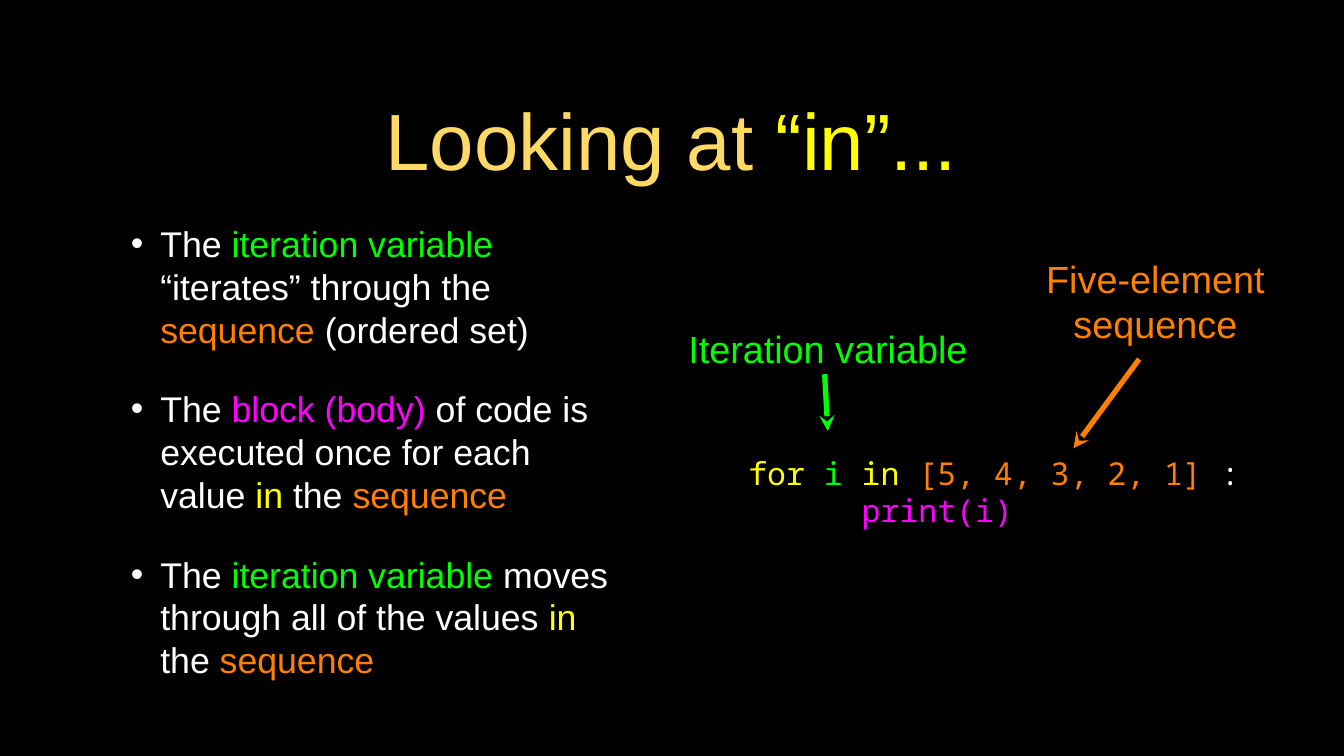
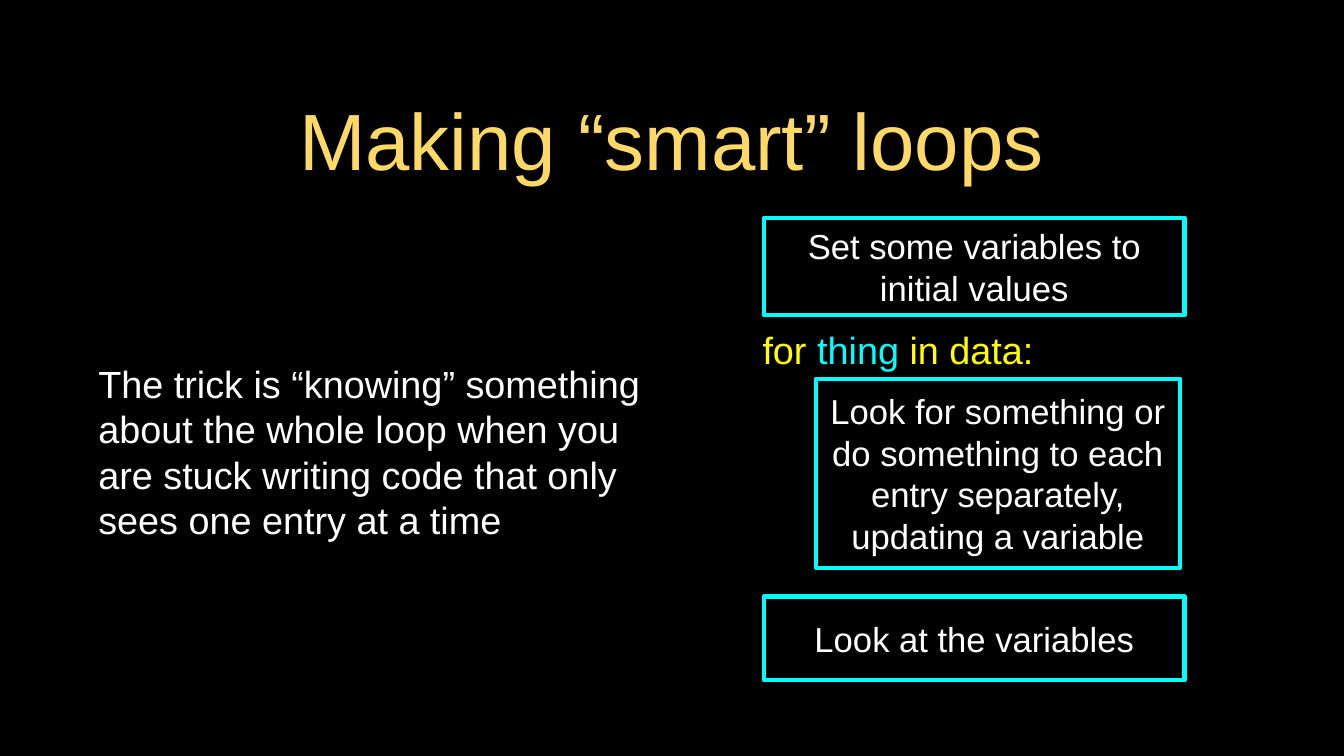
"""Build two slides that explain Python's for loops."""
from dataclasses import dataclass
from typing import NamedTuple

from lxml.etree import SubElement
from pptx import Presentation
from pptx.dml.color import RGBColor
from pptx.enum.shapes import MSO_CONNECTOR as Connector, MSO_SHAPE as Preset
from pptx.enum.text import MSO_ANCHOR as Anchor, MSO_AUTO_SIZE as AutoSize, PP_ALIGN as Align
from pptx.oxml.ns import qn
from pptx.shapes.base import BaseShape
from pptx.slide import Slide
from pptx.util import Inches, Pt


@dataclass(frozen=True)
class Theme:
    """Colours, fonts and type sizes of the deck."""
    ground: str = "000000"
    text: str = "FFFFFF"
    title: str = "FFD966"
    keyword: str = "FFFF00"
    variable: str = "00FF00"
    sequence: str = "FF7F00"
    block: str = "FF00FF"
    outline: str = "00FFFF"
    font: str = "Arial"
    code_font: str = "Noto Sans Mono"
    title_size: int = 76
    label_size: int = 36
    bullet_size: int = 34
    step_size: int = 33
    code_size: int = 30
    bullet_gap: int = 35
    leading: float = 1.2
    arrow_width: int = 5
    outline_width: int = 4


class Span(NamedTuple):
    """A stretch of text in one colour."""
    text: str
    color: str


class Point(NamedTuple):
    """A place in percent of the slide's width and height."""
    x: float
    y: float


class Area(NamedTuple):
    """A rectangle in percent of the slide's width and height."""
    left: float
    top: float
    width: float
    height: float


@dataclass(frozen=True)
class Style:
    """How a block of text is set."""
    size: int
    font: str = "Arial"
    align: Align = Align.LEFT
    inset: float = 0
    bulleted: bool = False


@dataclass(frozen=True)
class Arrow:
    """An arrow from a label to a piece of code."""
    tip: Point
    tail: Point
    color: str


@dataclass(frozen=True)
class Step:
    """An outlined stage of a loop."""
    area: Area
    text: str


Line = list[Span]

THEME = Theme()
WIDTH, HEIGHT = Inches(17.78), Inches(10)
INSET = 0.04
BULLET_INDENT, BULLET_HANG = Inches(0.82), Inches(-0.39)
CODE_INDENT = Pt(6 * 0.6 * THEME.code_size)

TITLE_AREA = Area(7.09, 8.9, 85.71, 18.8)
BULLET_AREA = Area(7.09, 28.5, 39.26, 62.4)
TRICK_AREA = BULLET_AREA._replace(width=42.13)
CODE_AREA = Area(55.68, 57.7, 39.15, 14.6)
VARIABLE_AREA = Area(51.01, 42.7, 21.2, 6.8)
SEQUENCE_AREA = Area(73.73, 34.1, 24.47, 11.4)
LOOP_AREA = Area(56.36, 42.8, 20.92, 6.8)
FIRST_STEP_AREA = Area(56.86, 28.8, 31.27, 12.9)
LAST_STEP_AREA = FIRST_STEP_AREA._replace(top=78.9, height=11.1)
BODY_STEP_AREA = Area(60.69, 50.1, 27.11, 25)

TITLE_STYLE = Style(THEME.title_size, align=Align.CENTER, inset=INSET)
BULLET_STYLE = Style(THEME.bullet_size, inset=INSET, bulleted=True)
TRICK_STYLE = Style(THEME.label_size, inset=INSET)
LABEL_STYLE = Style(THEME.label_size, align=Align.CENTER)
STEP_STYLE = Style(THEME.step_size, align=Align.CENTER)
CODE_STYLE = Style(THEME.code_size, font=THEME.code_font)


def plain(text: str) -> Span:
    """Return a span in the text colour."""
    return Span(text, THEME.text)


IN = Span("in", THEME.keyword)
SEQUENCE = Span("sequence", THEME.sequence)
VARIABLE = Span("iteration variable ", THEME.variable)

BULLETS: list[Line] = [
    [plain("The "), VARIABLE, plain("“iterates” through the "),
     Span("sequence ", THEME.sequence), plain("(ordered set)")],
    [plain("The "), Span("block (body)", THEME.block),
     plain(" of code is executed once for each value "), IN, plain(" the "), SEQUENCE],
    [plain("The "), VARIABLE, plain("moves through all of the values "), IN,
     plain(" the "), SEQUENCE],
]
CODE: list[Line] = [
    [Span("for ", THEME.keyword), Span("i ", THEME.variable), Span("in ", THEME.keyword),
     Span("[5, 4, 3, 2, 1] ", THEME.sequence), plain(":")],
    [Span("print(i)", THEME.block)],
]
LABELS = [
    (VARIABLE_AREA, Span("Iteration variable", THEME.variable)),
    (SEQUENCE_AREA, Span("Five-element sequence", THEME.sequence)),
]
ARROWS = [
    Arrow(Point(61.59, 57), Point(61.36, 49.5), THEME.variable),
    Arrow(Point(79.87, 59.3), Point(84.76, 47.5), THEME.sequence),
]
TRICK = plain("The trick is “knowing” something about the whole loop when you "
              "are stuck writing code that only sees one entry at a time")
LOOP_HEADER: Line = [Span("for ", THEME.keyword), Span("thing", THEME.outline),
                     Span(" in data:", THEME.keyword)]
STEPS = [
    Step(FIRST_STEP_AREA, "Set some variables to initial values"),
    Step(BODY_STEP_AREA, "Look for something or do something to each entry separately, "
                         "updating a variable"),
    Step(LAST_STEP_AREA, "Look at the variables"),
]


def rgb(color: str) -> RGBColor:
    """Turn a hex string into a colour."""
    return RGBColor.from_string(color)


def across(share: float) -> int:
    """Return a percentage of the slide's width."""
    return round(WIDTH * share / 100)


def down(share: float) -> int:
    """Return a percentage of the slide's height."""
    return round(HEIGHT * share / 100)


def bounds(area: Area) -> tuple[int, int, int, int]:
    """Return an area as left, top, width and height."""
    return across(area.left), down(area.top), across(area.width), down(area.height)


def add_bullet(paragraph) -> None:
    """Give a paragraph a hanging bullet."""
    properties = paragraph._p.get_or_add_pPr()
    properties.set("marL", str(BULLET_INDENT))
    properties.set("indent", str(BULLET_HANG))
    bullet_color = SubElement(properties, qn("a:buClr"))
    SubElement(bullet_color, qn("a:srgbClr"), val=THEME.text)
    SubElement(properties, qn("a:buFont"), typeface=THEME.font)
    SubElement(properties, qn("a:buChar"), char="•")


def write(holder: BaseShape, lines: list[Line], style: Style) -> None:
    """Fill a shape with coloured lines of text."""
    frame = holder.text_frame
    frame.word_wrap = True
    frame.auto_size = AutoSize.NONE
    frame.vertical_anchor = Anchor.MIDDLE
    frame.margin_left = frame.margin_right = Inches(style.inset)
    frame.margin_top = frame.margin_bottom = Inches(style.inset)
    for index, line in enumerate(lines):
        paragraph = frame.add_paragraph() if index else frame.paragraphs[0]
        paragraph.alignment = style.align
        paragraph.line_spacing = Pt(style.size * THEME.leading)
        if style.bulleted:
            paragraph.space_before = Pt(THEME.bullet_gap if index else 0)
            add_bullet(paragraph)
        for span in line:
            run = paragraph.add_run()
            run.text = span.text
            run.font.name = style.font
            run.font.size = Pt(style.size)
            run.font.color.rgb = rgb(span.color)


def add_text(slide: Slide, area: Area, lines: list[Line], style: Style) -> BaseShape:
    """Add a text box and return it."""
    box = slide.shapes.add_textbox(*bounds(area))
    write(box, lines, style)
    return box


def add_step(slide: Slide, step: Step) -> None:
    """Add an outlined box for one stage of a loop."""
    box = slide.shapes.add_shape(Preset.RECTANGLE, *bounds(step.area))
    box.shadow.inherit = False
    box.fill.background()
    box.line.color.rgb = rgb(THEME.outline)
    box.line.width = Pt(THEME.outline_width)
    write(box, [[plain(step.text)]], STEP_STYLE)


def add_arrow(slide: Slide, arrow: Arrow) -> None:
    """Add a line with a stealth head at its tip."""
    pointer = slide.shapes.add_connector(
        Connector.STRAIGHT, across(arrow.tip.x), down(arrow.tip.y),
        across(arrow.tail.x), down(arrow.tail.y))
    pointer.line.color.rgb = rgb(arrow.color)
    pointer.line.width = Pt(arrow.width if hasattr(arrow, "width") else THEME.arrow_width)
    SubElement(pointer.line._get_or_add_ln(), qn("a:headEnd"), type="stealth")
    SubElement(pointer._element.spPr, qn("a:effectLst"))


def add_titled_slide(deck, title: Line) -> Slide:
    """Add a title-only slide and set its title."""
    slide = deck.slides.add_slide(deck.slide_layouts.get_by_name("Title Only"))
    heading = slide.shapes.title
    heading.left, heading.top, heading.width, heading.height = bounds(TITLE_AREA)
    write(heading, [title], TITLE_STYLE)
    return slide


def build_in_slide(deck) -> None:
    """Explain the parts of a for statement."""
    slide = add_titled_slide(
        deck, [Span("Looking at ", THEME.title), Span("“in”...", THEME.keyword)])
    add_text(slide, BULLET_AREA, BULLETS, BULLET_STYLE)
    code = add_text(slide, CODE_AREA, CODE, CODE_STYLE)
    loop_body = code.text_frame.paragraphs[1]
    loop_body._p.get_or_add_pPr().set("marL", str(CODE_INDENT))
    for area, label in LABELS:
        add_text(slide, area, [[label]], LABEL_STYLE)
    for arrow in ARROWS:
        add_arrow(slide, arrow)


def build_smart_slide(deck) -> None:
    """Show the stages of a loop that gathers knowledge."""
    slide = add_titled_slide(deck, [Span("Making “smart” loops", THEME.title)])
    add_text(slide, TRICK_AREA, [[TRICK]], TRICK_STYLE)
    add_text(slide, LOOP_AREA, [LOOP_HEADER], LABEL_STYLE)
    for step in STEPS:
        add_step(slide, step)


def main() -> None:
    """Build and save the deck."""
    deck = Presentation()
    deck.slide_width, deck.slide_height = WIDTH, HEIGHT
    ground = deck.slide_master.background.fill
    ground.solid()
    ground.fore_color.rgb = rgb(THEME.ground)
    build_in_slide(deck)
    build_smart_slide(deck)
    deck.save("out.pptx")


main()
